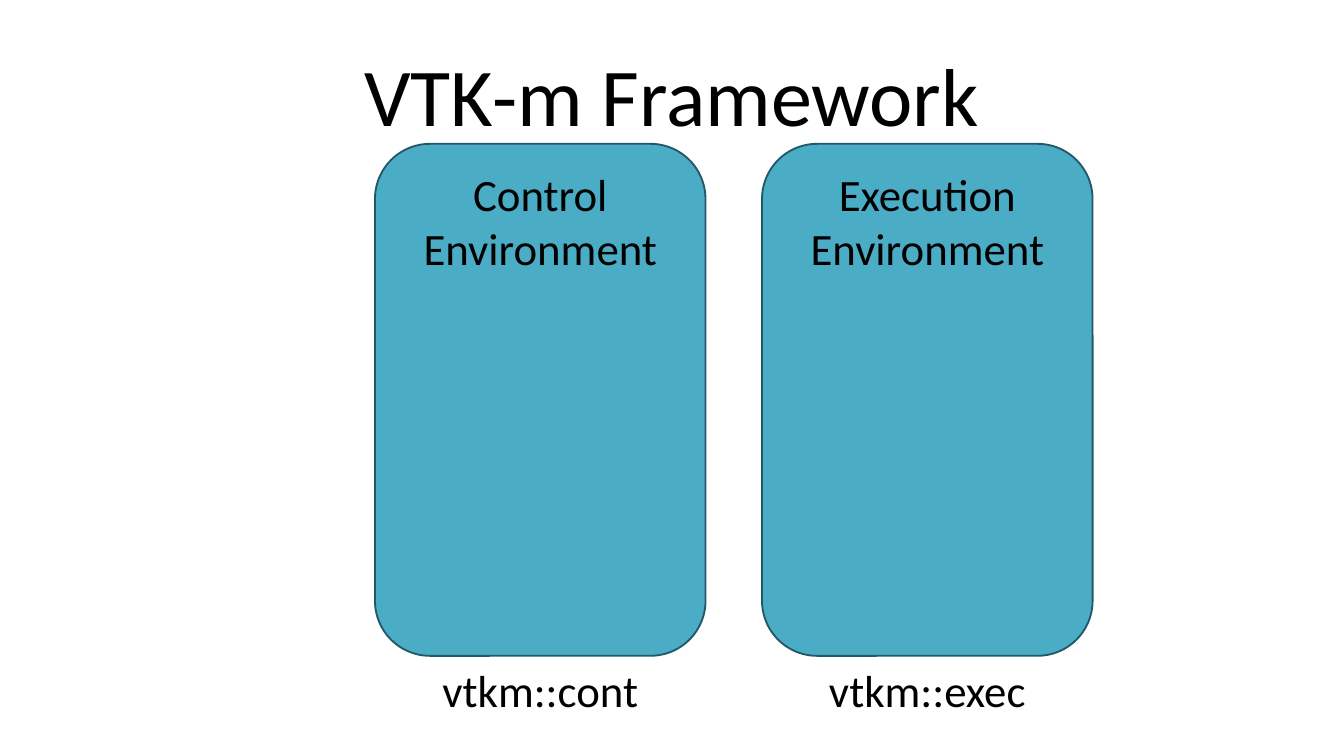
from pptx import Presentation
from pptx import util as u
from pptx.dml.color import RGBColor
from pptx.enum import shapes, text

TITLE = "VTK-m Framework"
ENVIRONMENTS = [
    ("Control Environment", "vtkm::cont"),
    ("Execution Environment", "vtkm::exec"),
]

BLACK = RGBColor(0x00, 0x00, 0x00)
WHITE = RGBColor(0xFF, 0xFF, 0xFF)
TEAL = RGBColor(0x4B, 0xAC, 0xC6)
DARK_TEAL = RGBColor(0x21, 0x59, 0x68)

SLIDE_WIDTH = 10
SLIDE_HEIGHT = SLIDE_WIDTH * 9 / 16
PANEL_LEFT, PANEL_TOP = 2.79, 1.07
PANEL_WIDTH, PANEL_HEIGHT = 2.46, 3.81
PANEL_STEP = 2.88
NAMESPACE_WIDTH, NAMESPACE_HEIGHT = 1.67, 0.5

TITLE_FRAME = {"word_wrap": True, "vertical_anchor": text.MSO_ANCHOR.MIDDLE}
PANEL_FRAME = {"word_wrap": True, "vertical_anchor": text.MSO_ANCHOR.TOP}
NAMESPACE_FRAME = {
    "word_wrap": False,
    "auto_size": text.MSO_AUTO_SIZE.SHAPE_TO_FIT_TEXT,
}


def inches(*lengths):
    return [u.Inches(length) for length in lengths]


def write(shape, words, size, frame_format):
    frame = shape.text_frame
    frame.text = words
    for name, value in frame_format.items():
        setattr(frame, name, value)
    paragraph = frame.paragraphs[0]
    paragraph.alignment = text.PP_ALIGN.CENTER
    font = paragraph.runs[0].font
    for name, value in {"name": "Calibri", "size": u.Pt(size)}.items():
        setattr(font, name, value)
    font.color.rgb = BLACK


def add_environment(slide, left, environment, namespace):
    panel = slide.shapes.add_shape(
        shapes.MSO_SHAPE.ROUNDED_RECTANGLE,
        *inches(left, PANEL_TOP, PANEL_WIDTH, PANEL_HEIGHT),
    )
    panel.shadow.inherit = False
    panel.fill.solid()
    panel.fill.fore_color.rgb = TEAL
    panel.line.color.rgb = DARK_TEAL
    panel.line.width = u.Pt(1)
    write(panel, environment, 24, PANEL_FRAME)

    namespace_left = left + (PANEL_WIDTH - NAMESPACE_WIDTH) / 2
    caption = slide.shapes.add_textbox(
        *inches(namespace_left, PANEL_TOP + PANEL_HEIGHT,
                NAMESPACE_WIDTH, NAMESPACE_HEIGHT)
    )
    write(caption, namespace, 24, NAMESPACE_FRAME)


def main():
    deck = Presentation()
    deck.slide_width, deck.slide_height = inches(SLIDE_WIDTH, SLIDE_HEIGHT)
    slide = deck.slides.add_slide(deck.slide_layouts[5])
    slide.background.fill.solid()
    slide.background.fill.fore_color.rgb = WHITE

    title = slide.shapes.title
    title.left, title.top, title.width, title.height = inches(0.5, 0.23, 9, 0.94)
    write(title, TITLE, 44, TITLE_FRAME)

    for column, (environment, namespace) in enumerate(ENVIRONMENTS):
        left = PANEL_LEFT + column * PANEL_STEP
        add_environment(slide, left, environment, namespace)

    deck.save("out.pptx")


if __name__ == "__main__":
    main()
